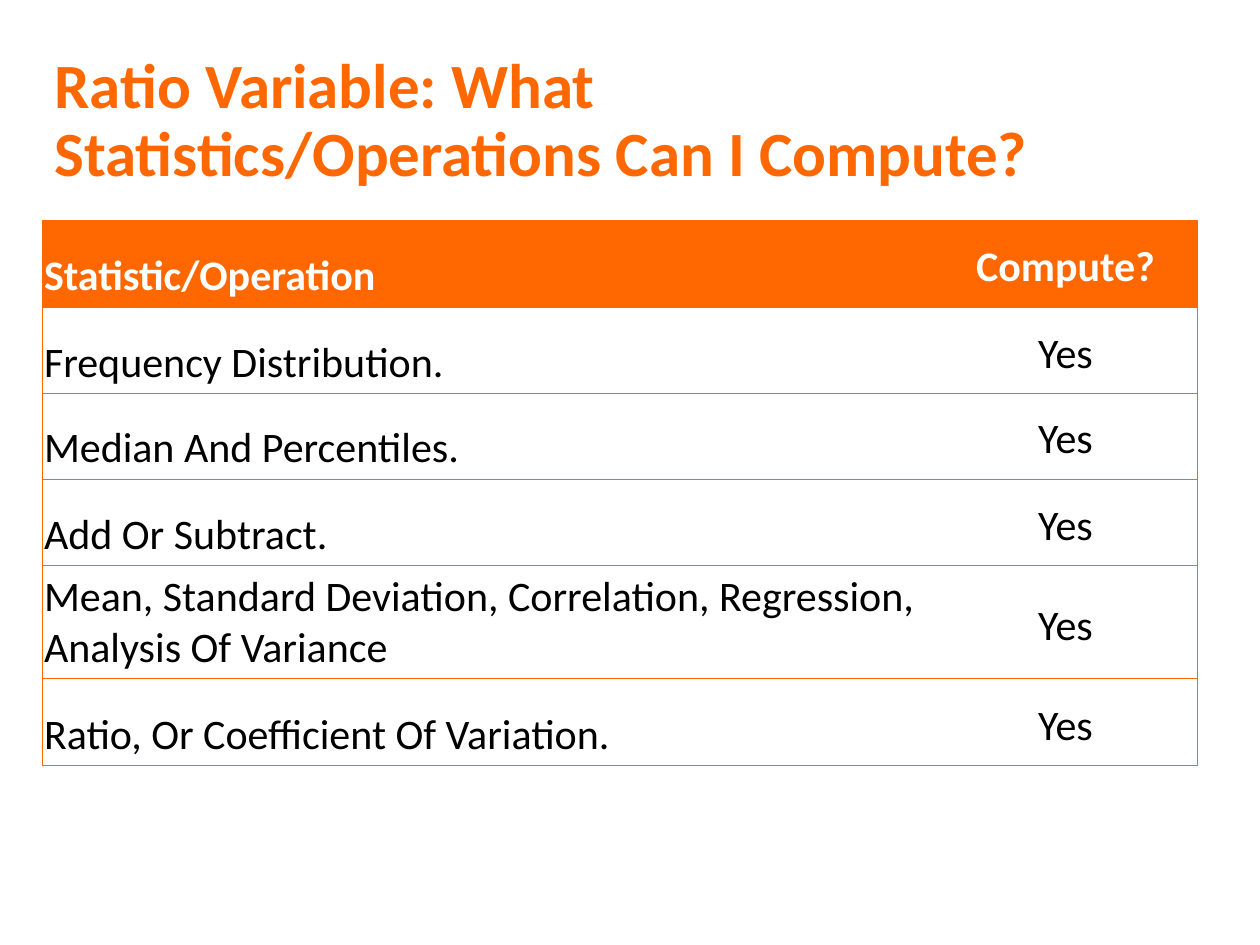
from dataclasses import dataclass

from lxml.etree import SubElement
from pptx import Presentation
from pptx.dml.color import RGBColor
from pptx.enum.text import MSO_ANCHOR, PP_ALIGN
from pptx.oxml.ns import qn
from pptx.util import Pt

TITLE = "Ratio Variable: What Statistics/Operations Can I Compute?"
HEADER = ("Statistic/Operation", "Compute?")
STATISTICS = [
    ("Frequency Distribution.", "Yes"),
    ("Median And Percentiles.", "Yes"),
    ("Add Or Subtract.", "Yes"),
    ("Mean, Standard Deviation, Correlation, Regression,\nAnalysis Of Variance", "Yes"),
    ("Ratio, Or Coefficient Of Variation.", "Yes"),
]
ROWS = [HEADER, *STATISTICS]

PX = 914400 // 126
SLIDE = (1260, 945)
TITLE_BOX = (42, 31, 1086, 183)
TABLE_CORNER = (42, 220)
COLUMN_WIDTHS = (892, 263)
ROW_HEIGHTS = (87, 86, 86, 87, 113, 87)
CELL_INSET = 2


@dataclass(frozen=True)
class Theme:
    font: str = "Calibri"
    orange: RGBColor = RGBColor(0xFF, 0x67, 0x00)
    white: RGBColor = RGBColor(0xFF, 0xFF, 0xFF)
    black: RGBColor = RGBColor(0, 0, 0)
    title_size: Pt = Pt(36)
    cell_size: Pt = Pt(24)
    border: Pt = Pt(0.5)


THEME = Theme()


def px(*lengths):
    return [length * PX for length in lengths]


def style_runs(paragraph, size, color, bold):
    for run in paragraph.runs:
        run.font.name = THEME.font
        run.font.size = size
        run.font.bold = bold
        run.font.color.rgb = color


def set_borders(cell, drawn):
    """Draw the named sides in orange and clear the others."""
    properties = cell._tc.get_or_add_tcPr()
    for position, side in enumerate(("lnL", "lnR", "lnT", "lnB")):
        line = SubElement(properties, qn(f"a:{side}"), w=str(THEME.border))
        properties.insert(position, line)
        if side in drawn:
            fill = SubElement(line, qn("a:solidFill"))
            SubElement(fill, qn("a:srgbClr"), val=str(THEME.orange))
        else:
            SubElement(line, qn("a:noFill"))


def fill_cell(cell, text, is_header, is_answer):
    cell.text = text
    cell.vertical_anchor = MSO_ANCHOR.MIDDLE
    cell.margin_left = cell.margin_right = CELL_INSET * PX
    cell.margin_top = cell.margin_bottom = CELL_INSET * PX
    cell.fill.solid()
    cell.fill.fore_color.rgb = THEME.orange if is_header else THEME.white
    set_borders(cell, {"lnT", "lnB", "lnR" if is_answer else "lnL"})

    paragraphs = cell.text_frame.paragraphs
    for paragraph in paragraphs:
        if is_answer:
            paragraph.alignment = PP_ALIGN.CENTER
            paragraph.line_spacing = 1.15
        elif len(paragraphs) == 1:
            paragraph.line_spacing = 1.5
            paragraph.space_after = Pt(6)
        color = THEME.white if is_header else THEME.black
        style_runs(paragraph, THEME.cell_size, color, is_header)


def add_title(slide):
    frame = slide.shapes.add_textbox(*px(*TITLE_BOX)).text_frame
    frame.word_wrap = True
    frame.vertical_anchor = MSO_ANCHOR.MIDDLE
    frame.text = TITLE
    frame.paragraphs[0].line_spacing = 0.9
    style_runs(frame.paragraphs[0], THEME.title_size, THEME.orange, True)


def add_statistics_table(slide):
    size = (sum(COLUMN_WIDTHS), sum(ROW_HEIGHTS))
    table = slide.shapes.add_table(
        len(ROWS), len(HEADER), *px(*TABLE_CORNER, *size)).table
    table.horz_banding = False
    for column, width in zip(table.columns, px(*COLUMN_WIDTHS)):
        column.width = width
    for row, height in zip(table.rows, px(*ROW_HEIGHTS)):
        row.height = height
    for r, texts in enumerate(ROWS):
        for c, text in enumerate(texts):
            fill_cell(table.cell(r, c), text, is_header=r == 0, is_answer=c == 1)


def main():
    presentation = Presentation()
    presentation.slide_width, presentation.slide_height = px(*SLIDE)
    slide = presentation.slides.add_slide(presentation.slide_layouts[6])
    add_statistics_table(slide)
    add_title(slide)
    presentation.save("out.pptx")


if __name__ == "__main__":
    main()
